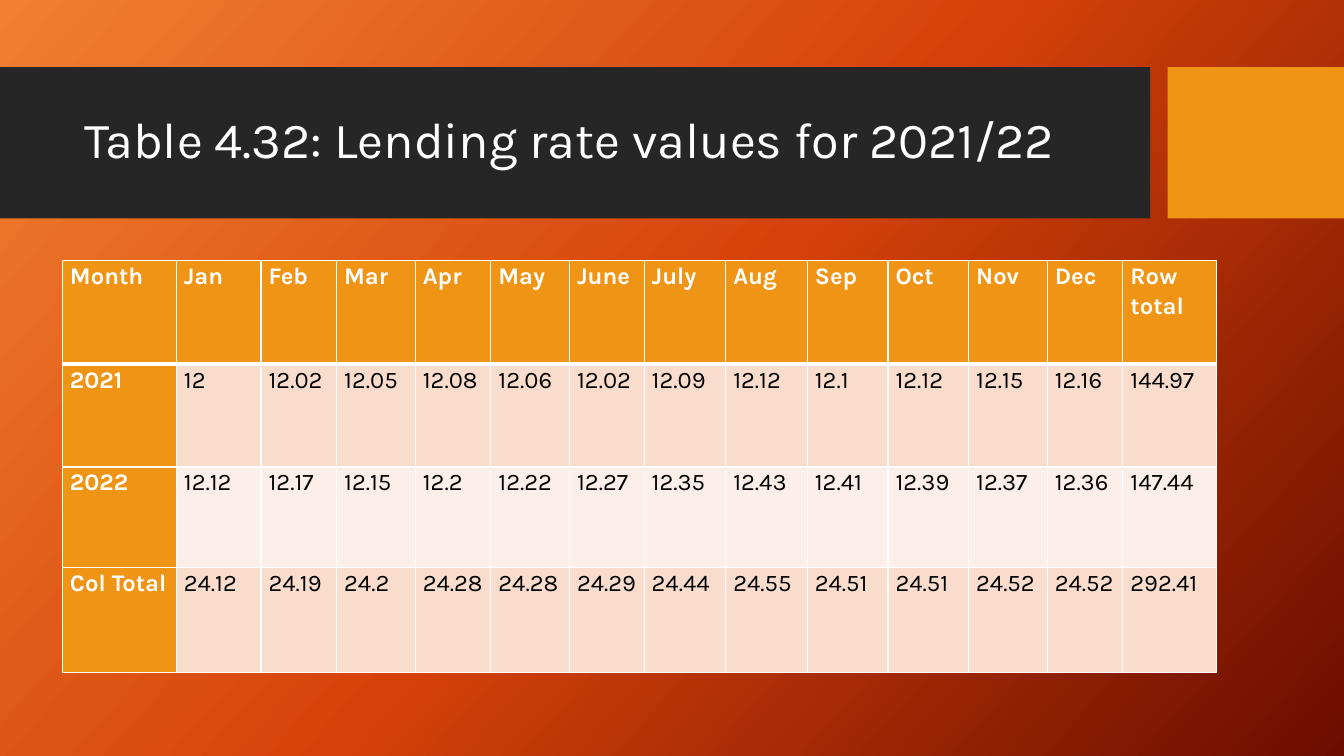
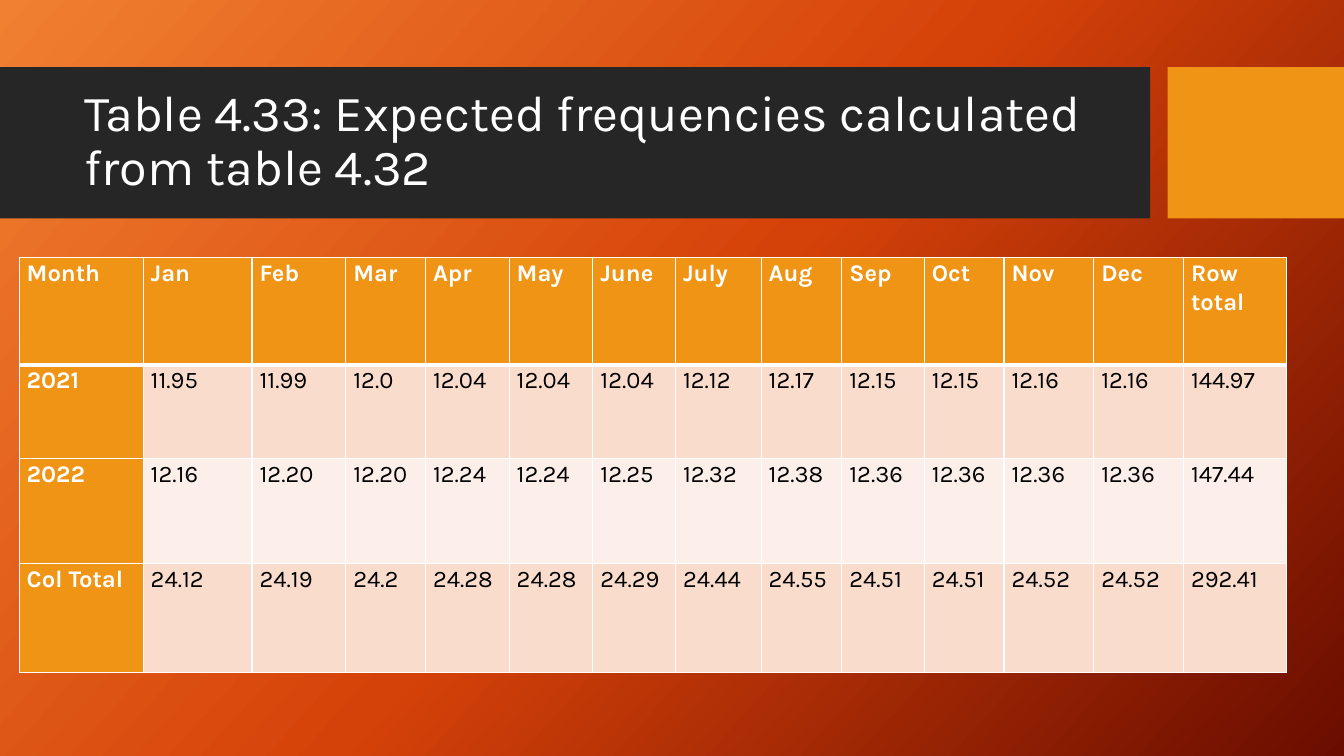
import copy

import pptx
import pptx.dml.color
import pptx.enum.shapes
import pptx.enum.text
import pptx.oxml
import pptx.oxml.ns
import pptx.util

Pt = pptx.util.Pt
COLORS = {
    "white": "FFFFFF", "black": "000000", "band": "262626", "accent": "F09415",
    "odd_row": "F9DCCC", "even_row": "FCEEE8",
    "glow": "F18031", "ember": "D54209", "maroon": "6A0D00",
}
TITLE_FONT = {"name": "Karla", "size": Pt(36), "bold": False}
CELL_FONT = {"name": "Karla", "size": Pt(17)}
CELL_MARGINS = {"margin_left": Pt(5.4), "margin_right": Pt(5.4),
                "margin_top": 0, "margin_bottom": 0}
TITLE_FRAME = {"word_wrap": True,
               "vertical_anchor": pptx.enum.text.MSO_ANCHOR.MIDDLE}
BANDS = [("band", 0, 821.5), ("accent", 834, 126)]

HEADER = ["Month", "Jan", "Feb", "Mar", "Apr", "May", "June", "July",
          "Aug", "Sep", "Oct", "Nov", "Dec", "Row total"]
COLUMN_TOTALS = ["Col Total", "24.12", "24.19", "24.2", "24.28", "24.28", "24.29",
                 "24.44", "24.55", "24.51", "24.51", "24.52", "24.52", "292.41"]
SLIDES = [
    {
        "title": "Table 4.32: Lending rate values for 2021/22",
        "left": 44.6, "top": 186,
        "widths": [81.4, 60.5, 54, 56.2, 54, 56.2, 53.3,
                   58.3, 58.3, 57.6, 57.6, 56.2, 54, 67],
        "heights": [74.2, 73.4, 72, 74.9],
        "years": [
            ["2021", "12", "12.02", "12.05", "12.08", "12.06", "12.02",
             "12.09", "12.12", "12.1", "12.12", "12.15", "12.16", "144.97"],
            ["2022", "12.12", "12.17", "12.15", "12.2", "12.22", "12.27",
             "12.35", "12.43", "12.41", "12.39", "12.37", "12.36", "147.44"],
        ],
    },
    {
        "title": "Table 4.33: Expected frequencies calculated from table 4.32",
        "left": 13.7, "top": 183.8,
        "widths": [88.6, 77.8, 67, 56.9, 59.8, 59.8, 59,
                   61.2, 57.6, 59, 56.9, 64.1, 64.1, 73.4],
        "heights": [77, 67, 74.9, 77.8],
        "years": [
            ["2021", "11.95", "11.99", "12.0", "12.04", "12.04", "12.04",
             "12.12", "12.17", "12.15", "12.15", "12.16", "12.16", "144.97"],
            ["2022", "12.16", "12.20", "12.20", "12.24", "12.24", "12.25",
             "12.32", "12.38", "12.36", "12.36", "12.36", "12.36", "147.44"],
        ],
    },
]


def rgb(name):
    return pptx.dml.color.RGBColor.from_string(COLORS[name])


def write_text(text_frame, text, font_values, color, line_spacing):
    paragraph = text_frame.paragraphs[0]
    paragraph.line_spacing = line_spacing
    run = paragraph.add_run()
    run.text = text
    for name, value in font_values.items():
        setattr(run.font, name, value)
    run.font.color.rgb = rgb(color)


presentation = pptx.Presentation()
presentation.slide_width = Pt(960)
presentation.slide_height = Pt(540)

# Gradient background, shared through the master
master = presentation.slide_master
background_fill = master.background.fill
background_fill.gradient()
background_fill.gradient_angle = 360 - 42
stop_list = master.element.find(".//" + pptx.oxml.ns.qn("a:gsLst"))
stop_list.insert(1, copy.deepcopy(stop_list[0]))
for stop, color, position in zip(background_fill.gradient_stops,
                                 ["glow", "ember", "maroon"], [0, 0.5, 1]):
    stop.color.rgb = rgb(color)
    stop.position = position

for content in SLIDES:
    slide = presentation.slides.add_slide(presentation.slide_layouts[6])

    # Title bands
    for color, left, width in BANDS:
        shape = slide.shapes.add_shape(pptx.enum.shapes.MSO_SHAPE.RECTANGLE,
                                       Pt(left), Pt(48), Pt(width), Pt(108))
        shape.shadow.inherit = False
        shape.fill.solid()
        shape.fill.fore_color.rgb = rgb(color)
        shape.line.fill.background()

    # Title
    title_frame = slide.shapes.add_textbox(Pt(53.3), Pt(59), Pt(756.7), Pt(85)).text_frame
    for name, value in TITLE_FRAME.items():
        setattr(title_frame, name, value)
    write_text(title_frame, content["title"], TITLE_FONT, "white", 0.9)

    # Table grid
    rows = [HEADER, *content["years"], COLUMN_TOTALS]
    widths, heights = content["widths"], content["heights"]
    table = slide.shapes.add_table(len(rows), len(HEADER), Pt(content["left"]),
                                   Pt(content["top"]), Pt(sum(widths)),
                                   Pt(sum(heights))).table
    table.horz_banding = False
    for column, width in zip(table.columns, widths):
        column.width = Pt(width)
    for row, height in zip(table.rows, heights):
        row.height = Pt(height)

    # Cells: borders go in before the fill
    for row_index, texts in enumerate(rows):
        border_widths = {"L": 1, "R": 1, "T": 3 if row_index == 1 else 1,
                         "B": 3 if row_index == 0 else 1}
        for column_index, text in enumerate(texts):
            cell = table.cell(row_index, column_index)
            for name, value in CELL_MARGINS.items():
                setattr(cell, name, value)
            for side, width in border_widths.items():
                cell._tc.get_or_add_tcPr().append(pptx.oxml.parse_xml(
                    f'<a:ln{side} {pptx.oxml.ns.nsdecls("a")} w="{Pt(width)}"><a:solidFill>'
                    f'<a:srgbClr val="{COLORS["white"]}"/></a:solidFill></a:ln{side}>'))
            is_heading = row_index == 0 or column_index == 0
            row_color = "odd_row" if row_index % 2 else "even_row"
            cell.fill.solid()
            cell.fill.fore_color.rgb = rgb("accent" if is_heading else row_color)
            write_text(cell.text_frame, text, {**CELL_FONT, "bold": is_heading},
                       "white" if is_heading else "black", 1.07)

presentation.save("out.pptx")
